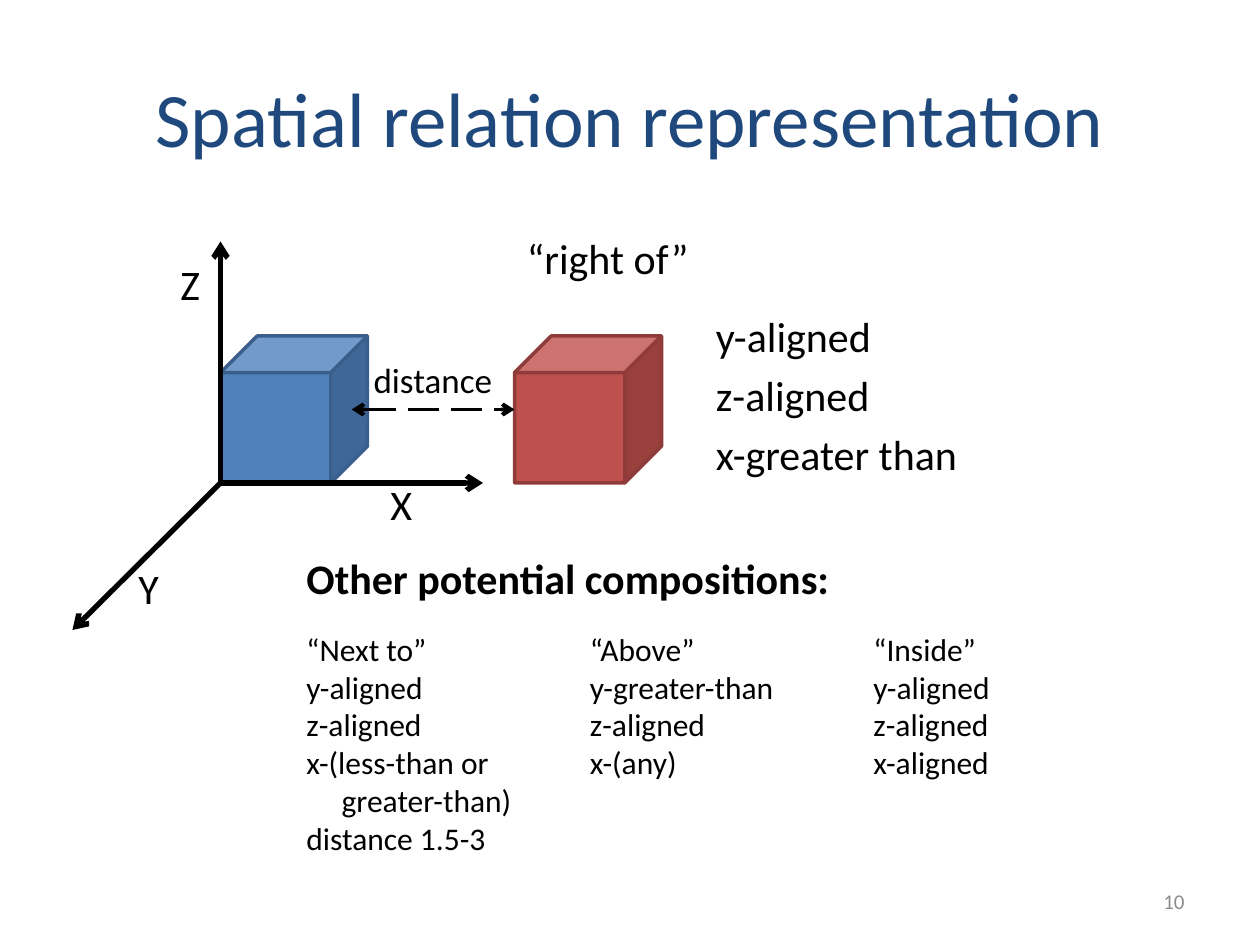
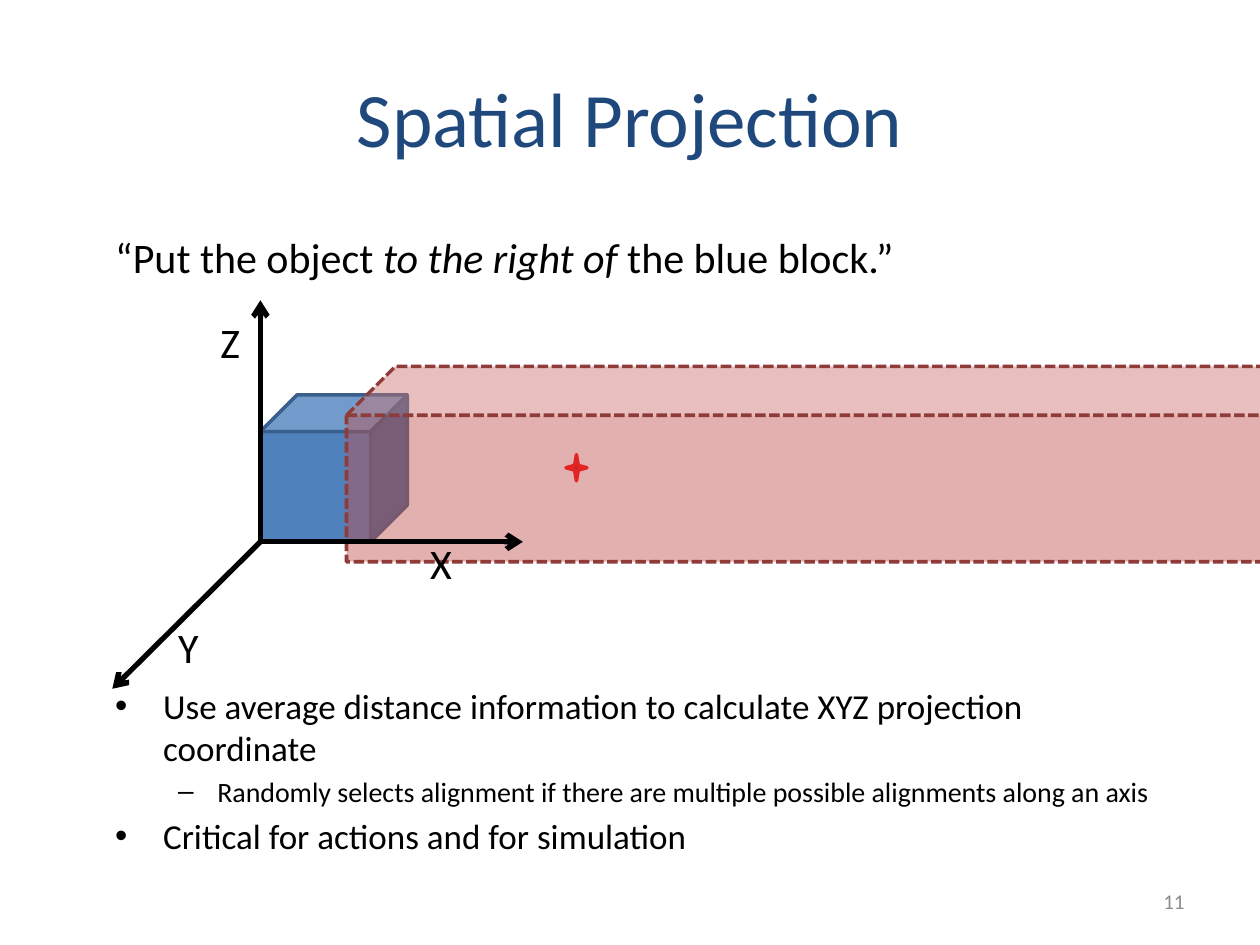
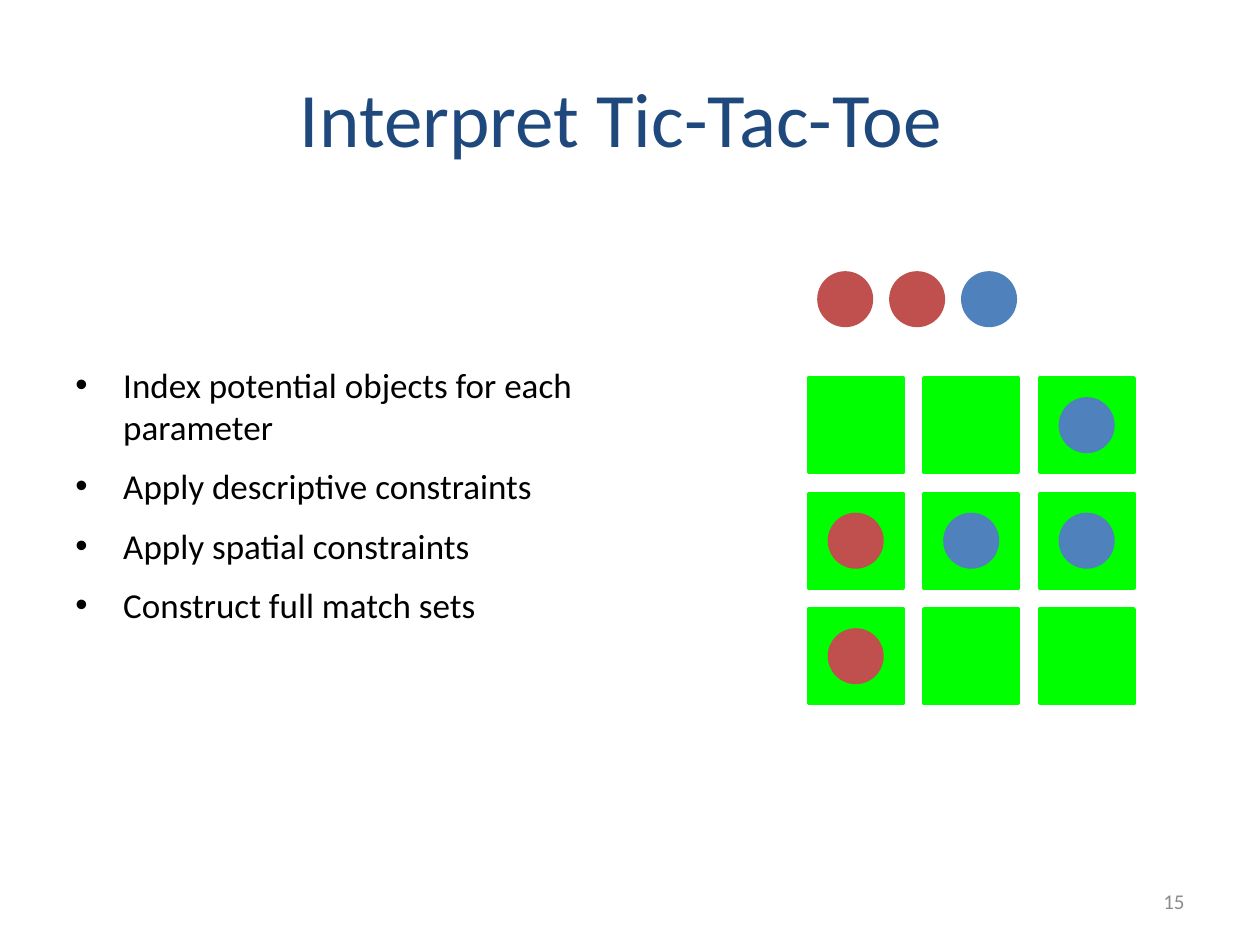
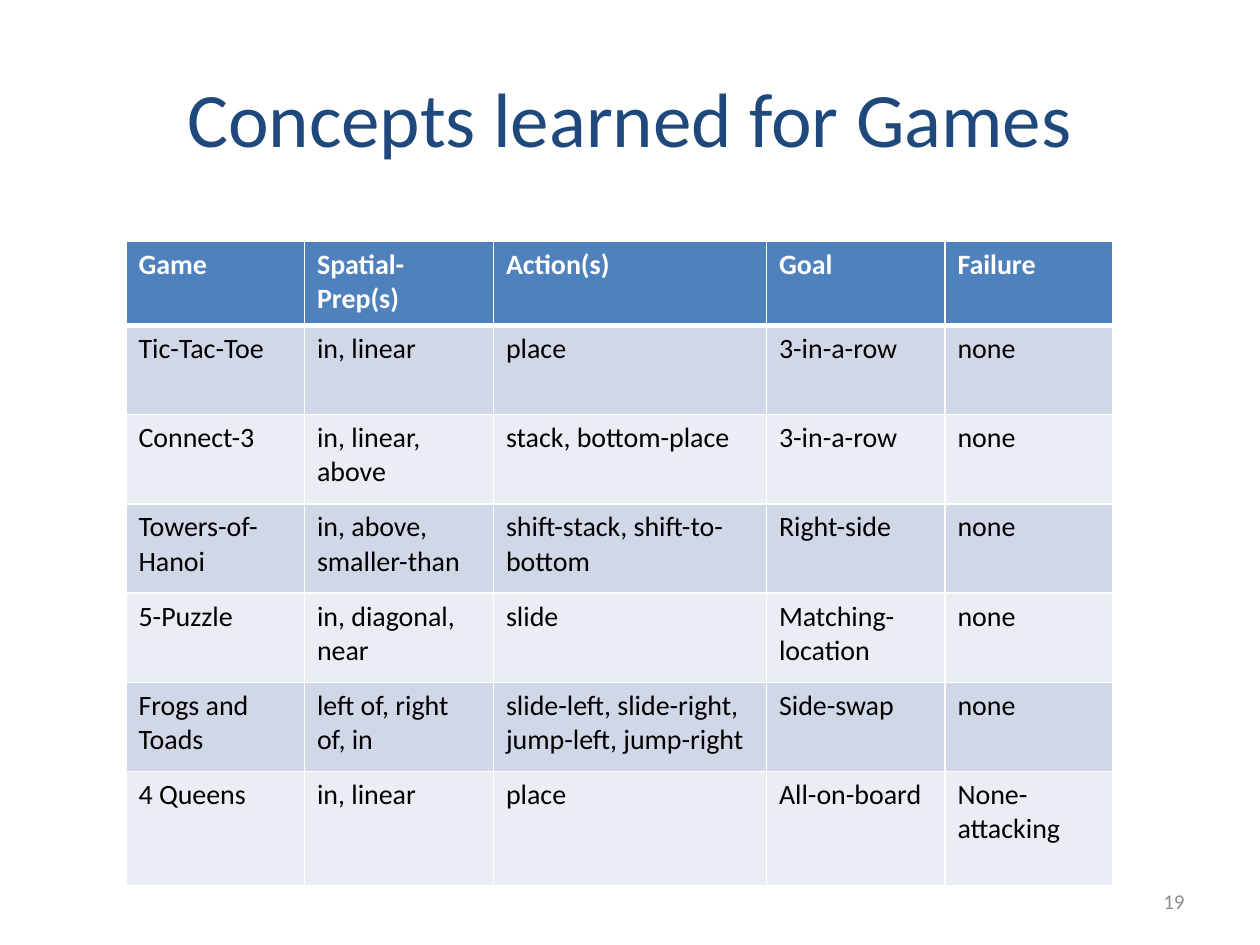
from lxml import etree
from pptx import Presentation, util as u
from pptx.dml.color import RGBColor
from pptx.enum import dml, shapes, text
from pptx.oxml.ns import qn

COLORS = {
    "title": "1F497D", "ink": "000000", "number": "8C8C8C", "white": "FFFFFF",
    "blue": "4F81BD", "blue_edge": "3A5F8C", "red": "C0504D", "red_edge": "8E3B39",
    "star": "C00000", "star_edge": "FF0000", "green": "00FF00",
    "band_dark": "D0D8E8", "band_light": "E9EDF4",
}
FONT = "Calibri"
COLUMNS, ROWS = 120, 90
WIDTH, HEIGHT = u.Inches(10), u.Inches(7.5)
BLOCK = 14
BULLETS = {"•": (0.38, -0.38), "–": (0.81, -0.31)}

CONCEPTS = [
    ["Game", "Spatial-Prep(s)", "Action(s)", "Goal", "Failure"],
    ["Tic-Tac-Toe", "in, linear", "place", "3-in-a-row", "none"],
    ["Connect-3", "in, linear, above", "stack, bottom-place", "3-in-a-row", "none"],
    ["Towers-of-Hanoi", "in, above, smaller-than", "shift-stack, shift-to-bottom",
     "Right-side", "none"],
    ["5-Puzzle", "in, diagonal, near", "slide", "Matching-location", "none"],
    ["Frogs and Toads", "left of, right of, in",
     "slide-left, slide-right,\njump-left, jump-right", "Side-swap", "none"],
    ["4 Queens", "in, linear", "place", "All-on-board", "None-attacking"],
]


def col(n):
    return round(WIDTH * n / COLUMNS)


def row(n):
    return round(HEIGHT * n / ROWS)


def area(x, y, w, h):
    return col(x), row(y), col(w), row(h)


def color(name):
    return RGBColor.from_string(COLORS[name])


def child(parent, tag, **attributes):
    return etree.SubElement(parent, qn(tag), attributes)


def style(paragraph, size, ink="ink", bold=False):
    font = paragraph.font
    font.name, font.size, font.bold = FONT, u.Pt(size), bold
    font.color.rgb = color(ink)


def indent(paragraph, left, first=0):
    properties = paragraph._p.get_or_add_pPr()
    properties.set("marL", str(u.Inches(left)))
    properties.set("indent", str(u.Inches(first)))
    return properties


def write(slide, place, lines, size=24, ink="ink", bold=False, before=0, after=0,
          align=text.PP_ALIGN.LEFT, anchor=text.MSO_ANCHOR.TOP):
    frame = slide.shapes.add_textbox(*area(*place)).text_frame
    frame.word_wrap = True
    frame.vertical_anchor = anchor
    for i, line in enumerate(lines):
        paragraph = frame.paragraphs[0] if i == 0 else frame.add_paragraph()
        paragraph.text = line
        paragraph.alignment = align
        paragraph.space_before = u.Pt(before if i else 0)
        paragraph.space_after = u.Pt(after)
        style(paragraph, size, ink, bold)
    return frame.paragraphs


def write_bullets(slide, place, items, after=0):
    paragraphs = write(slide, place, [line for _, _, line in items], 20, after=after)
    for i, (paragraph, (mark, size, _)) in enumerate(zip(paragraphs, items)):
        properties = indent(paragraph, *BULLETS[mark])
        defaults = properties.find(qn("a:defRPr"))
        bullet_font = etree.Element(qn("a:buFont"), typeface="Arial")
        bullet = etree.Element(qn("a:buChar"), char=mark)
        defaults.addprevious(bullet_font)
        defaults.addprevious(bullet)
        paragraph.font.size = u.Pt(size)
        paragraph.space_before = u.Pt(0.2 * size if i else 0)


def draw(slide, kind, place, fill, edge, opacity=None, dash=None):
    shape = slide.shapes.add_shape(kind, *area(*place))
    shape.shadow.inherit = False
    shape.fill.solid()
    shape.fill.fore_color.rgb = color(fill)
    shape.line.color.rgb = color(edge)
    shape.line.width = u.Pt(2)
    if dash:
        shape.line.dash_style = dash
    if opacity:
        tint = shape._element.spPr.find(qn("a:solidFill"))[0]
        child(tint, "a:alpha", val=str(opacity * 1000))


def draw_block(slide, x, y, name):
    draw(slide, shapes.MSO_SHAPE.CUBE, (x, y, BLOCK, BLOCK), name, name + "_edge")


def draw_disc(slide, x, y, name):
    draw(slide, shapes.MSO_SHAPE.OVAL, (x, y, 5, 5), name, name)


def draw_arrow(slide, start, end, width=3, dash=None, both=False):
    arrow = slide.shapes.add_connector(
        shapes.MSO_CONNECTOR.STRAIGHT,
        col(start[0]), row(start[1]), col(end[0]), row(end[1]))
    arrow.line.color.rgb = color("ink")
    arrow.line.width = u.Pt(width)
    if dash:
        arrow.line.dash_style = dash
    stroke = arrow.line._get_or_add_ln()
    if both:
        child(stroke, "a:headEnd", type="arrow")
    child(stroke, "a:tailEnd", type="arrow")
    child(arrow._element.spPr, "a:effectLst")


def draw_axes(slide, x, y):
    for dx, dy in [(25, 0), (-14.1, 14), (0, -23)]:
        draw_arrow(slide, (x, y), (x + dx, y + dy))
    for label, dx, dy in [("Z", -5, -22), ("Y", -9, 7), ("X", 15, -1)]:
        write(slide, (x + dx, y + dy, 5, 6), [label])


def border(cell, **widths):
    properties = cell._tc.get_or_add_tcPr()
    for side in "LRTB":
        edge = child(properties, "a:ln" + side, w=str(u.Pt(widths.get(side, 1))))
        child(child(edge, "a:solidFill"), "a:srgbClr", val=COLORS["white"])


def draw_table(slide, x, y, widths, heights, records):
    table = slide.shapes.add_table(
        len(heights), len(widths), *area(x, y, sum(widths), sum(heights))).table
    for column, width in zip(table.columns, widths):
        column.width = col(width)
    for i, (height, record) in enumerate(zip(heights, records)):
        table.rows[i].height = row(height)
        fill = "blue" if i == 0 else "band_dark" if i % 2 else "band_light"
        rule = {0: {"B": 3}, 1: {"T": 3}}.get(i, {})
        for j, words in enumerate(record):
            cell = table.cell(i, j)
            cell.text = words
            border(cell, **rule)
            cell.fill.solid()
            cell.fill.fore_color.rgb = color(fill)
            for paragraph in cell.text_frame.paragraphs:
                style(paragraph, 16, "ink" if i else "white", i == 0)


def new_slide(deck, title, number):
    slide = deck.slides.add_slide(deck.slide_layouts[6])
    write(slide, (6, 3.6, 108, 15), [title], 44, "title",
          align=text.PP_ALIGN.CENTER, anchor=text.MSO_ANCHOR.MIDDLE)
    write(slide, (86, 83.4, 28, 4.8), [str(number)], 12, "number",
          align=text.PP_ALIGN.RIGHT, anchor=text.MSO_ANCHOR.MIDDLE)
    return slide


def relation_slide(deck):
    slide = new_slide(deck, "Spatial relation representation", 10)
    write(slide, (67, 29, 42, 22.7), ["y-aligned", "z-aligned", "x-greater than"], before=4.8)
    draw_block(slide, 21, 32, "blue")
    draw_block(slide, 49, 32, "red")
    draw_axes(slide, 21, 46)
    write(slide, (49, 21.6, 20.5, 9.4), ["“right of”"])
    write(slide, (28, 52, 53.5, 9), ["Other potential compositions:"], bold=True)
    compositions = [
        ["“Next to”", "y-aligned", "z-aligned", "x-(less-than or", "greater-than)",
         "distance 1.5-3"],
        ["“Above”", "y-greater-than", "z-aligned", "x-(any)"],
        ["“Inside”", "y-aligned", "z-aligned", "x-aligned"],
    ]
    columns = [write(slide, (28 + 27 * i, 59.4, 26, 23), lines, 18)
               for i, lines in enumerate(compositions)]
    indent(columns[0][4], 0.28)
    write(slide, (34.4, 33.6, 20.5, 9.4), ["distance"], 20)
    draw_arrow(slide, (33.5, 39), (49, 39), 2.25, dml.MSO_LINE.LONG_DASH, both=True)


def projection_slide(deck):
    slide = new_slide(deck, "Spatial Projection", 11)
    draw(slide, shapes.MSO_SHAPE.STAR_4_POINT, (53.9, 43.3, 2, 2.5), "star", "star_edge")
    request = write(slide, (9.8, 21.5, 103, 6), [""])[0]
    for words, italic in [("“Put the object ", False), ("to the right of ", True),
                          ("the blue block.”", False)]:
        run = request.add_run()
        run.text = words
        run.font.italic = italic
    write_bullets(slide, (9.8, 64.6, 103, 20.3), [
        ("•", 20, "Use average distance information to calculate XYZ projection coordinate"),
        ("–", 16, "Randomly selects alignment if there are multiple possible alignments "
                  "along an axis"),
        ("•", 20, "Critical for actions and for simulation"),
    ])
    x, y = 24.8, 51.6
    draw_block(slide, x, y - BLOCK, "blue")
    draw(slide, shapes.MSO_SHAPE.CUBE, (33, 34.9, 103.3, 18.6), "red", "red_edge",
         opacity=45, dash=dml.MSO_LINE.SQUARE_DOT)
    draw_axes(slide, x, y)


def board_slide(deck):
    slide = new_slide(deck, "Interpret Tic-Tac-Toe ", 15)
    steps = ["Index potential objects for each parameter", "Apply descriptive constraints",
             "Apply spatial constraints", "Construct full match sets"]
    write_bullets(slide, (6, 34, 59, 47), [("•", 20, step) for step in steps], after=6)
    for i, piece in enumerate(["red", "red", "blue"]):
        draw_disc(slide, 78 + 6.85 * i, 26, piece)
    board = [[None, None, "blue"], ["red", "blue", "blue"], ["red", None, None]]
    for i, line in enumerate(board):
        for j, piece in enumerate(line):
            x, y = 77 + 11 * j, 36 + 11 * i
            draw(slide, shapes.MSO_SHAPE.RECTANGLE, (x, y, 9, 9), "green", "green")
            if piece:
                draw_disc(slide, x + 2, y + 2, piece)


def concepts_slide(deck):
    slide = new_slide(deck, "Concepts learned for Games", 19)
    draw_table(slide, 12, 23, [17, 18, 26, 17, 16], [8] + [8.5] * 5 + [10.9], CONCEPTS)


def main():
    deck = Presentation()
    deck.slide_width, deck.slide_height = WIDTH, HEIGHT
    relation_slide(deck)
    projection_slide(deck)
    board_slide(deck)
    concepts_slide(deck)
    deck.save("out.pptx")


if __name__ == "__main__":
    main()
